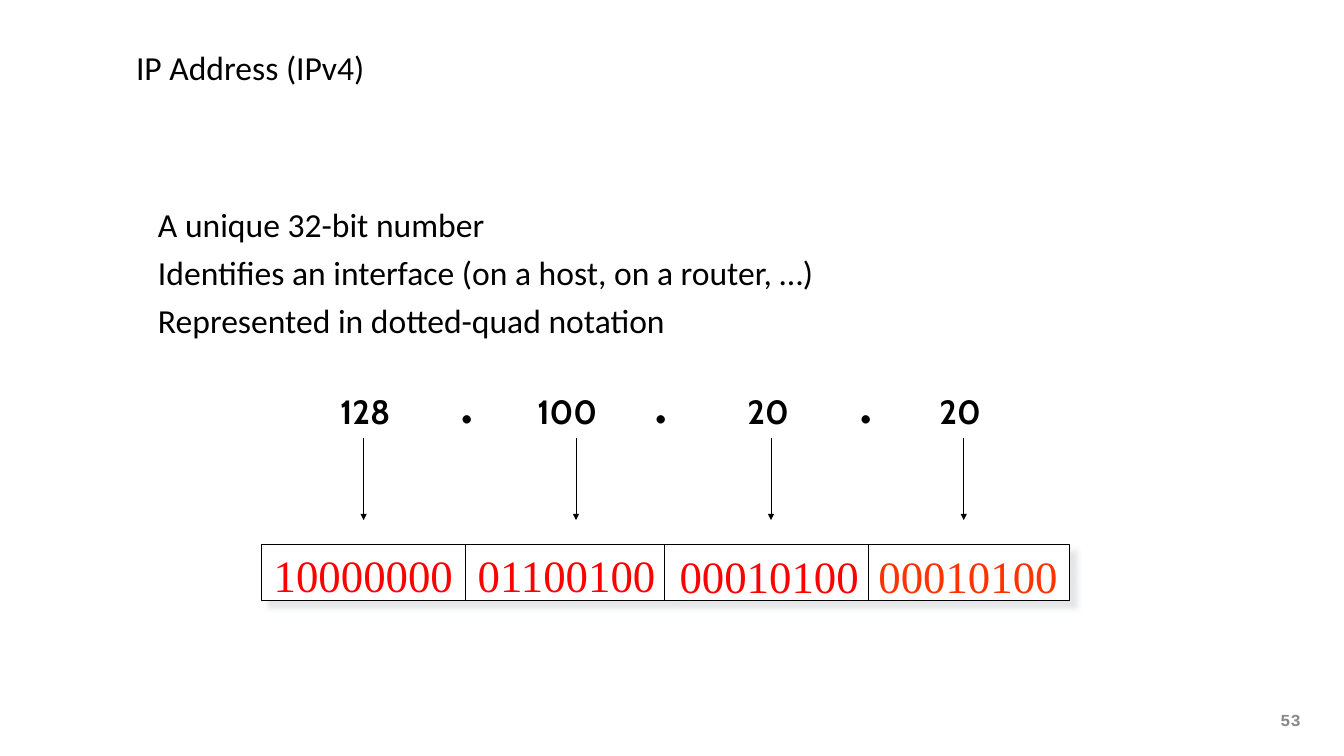
"""Build the slide that shows an IPv4 address in dotted-quad and binary form."""
from dataclasses import dataclass

from lxml.etree import SubElement
from pptx import Presentation
from pptx.dml.color import RGBColor
from pptx.enum.shapes import MSO_CONNECTOR as Connector, MSO_SHAPE as Shape
from pptx.enum.text import MSO_ANCHOR as Anchor, MSO_AUTO_SIZE as Fit, PP_ALIGN as Align
from pptx.oxml.ns import qn
from pptx.util import Inches, Pt


@dataclass(frozen=True)
class Style:
    font: str
    size: float
    color: str
    bold: bool = False


@dataclass(frozen=True)
class Theme:
    text: Style = Style("Calibri", 32, "000000")
    decimal: Style = Style("Cabin", 32, "000000", True)
    dot: Style = Style("Calibri", 66, "000000")
    octet: Style = Style("Times New Roman", 42.7, "FF0000")
    last_octet: Style = Style("Times New Roman", 42.7, "FF3300")
    number: Style = Style("Courier New", 16, "898989", True)
    line: str = "000000"
    fill: str = "FFFFFF"
    shadow: str = "DCDEE0"


THEME = Theme()
TITLE = "IP Address (IPv4)"
FACTS = [
    "A unique 32-bit number",
    "Identifies an interface (on a host, on a router, …)",
    "Represented in dotted-quad notation",
]
PAGE_NUMBER = "53"
DECIMALS = [("128", 4.4, 1.06), ("100", 7.01, 1.06), ("20", 9.79, 0.77), ("20", 12.33, 0.77)]
OCTETS = [
    ("10000000", 3.49, 7.17, THEME.octet),
    ("01100100", 6.19, 7.17, THEME.octet),
    ("00010100", 8.86, 7.19, THEME.octet),
    ("00010100", 11.49, 7.19, THEME.last_octet),
]
DOTS = [(6, 4.63), (8.57, 4.62), (11.29, 4.62)]
ARROWS = [4.81, 7.62, 10.2, 12.75]
DIVIDERS = [6.16, 8.79, 11.49]
BAR = (3.46, 7.2, 10.69, 0.74)


def add_text(page, place, lines, style, insets=(0.1, 0.05), anchor=Anchor.TOP,
             wrap=False, align=Align.LEFT, indent=0, before=0):
    box = page.shapes.add_textbox(*map(Inches, place))
    frame = box.text_frame
    frame.word_wrap = wrap
    frame.auto_size = Fit.NONE if wrap else Fit.SHAPE_TO_FIT_TEXT
    frame.vertical_anchor = anchor
    frame.margin_left = frame.margin_right = Inches(insets[0])
    frame.margin_top = frame.margin_bottom = Inches(insets[1])
    for index, line in enumerate(lines):
        para = frame.add_paragraph() if index else frame.paragraphs[0]
        para.alignment = align
        para.space_before = Pt(before)
        if indent:
            properties = para._p.get_or_add_pPr()
            properties.set("marL", str(Inches(indent)))
            properties.set("indent", "0")
        span = para.add_run()
        span.text = line
        span.font.name = style.font
        span.font.size = Pt(style.size)
        span.font.bold = style.bold
        span.font.color.rgb = RGBColor.from_string(style.color)


def add_vertical(page, x, top, bottom, width, arrow=False):
    line = page.shapes.add_connector(Connector.STRAIGHT, *map(Inches, (x, top, x, bottom)))
    line.line.color.rgb = RGBColor.from_string(THEME.line)
    line.line.width = Pt(width)
    properties = line._element.spPr
    if arrow:
        SubElement(properties.find(qn("a:ln")), qn("a:tailEnd"), type="triangle")
    SubElement(properties, qn("a:effectLst"))


def add_bar(page):
    bar = page.shapes.add_shape(Shape.RECTANGLE, *map(Inches, BAR))
    bar.fill.solid()
    bar.fill.fore_color.rgb = RGBColor.from_string(THEME.fill)
    bar.line.color.rgb = RGBColor.from_string(THEME.line)
    bar.line.width = Pt(1)
    bar.shadow.inherit = False
    effects = bar._element.spPr.find(qn("a:effectLst"))
    shadow = SubElement(effects, qn("a:outerShdw"), blurRad=str(Pt(5)), dist=str(Pt(8.5)),
                        dir=str(45 * 60000), algn="ctr", rotWithShape="0")
    color = SubElement(shadow, qn("a:srgbClr"), val=THEME.shadow)
    SubElement(color, qn("a:alpha"), val="75000")


def main():
    deck = Presentation()
    deck.slide_width, deck.slide_height = Inches(17.78), Inches(10)
    page = deck.slides.add_slide(deck.slide_layouts[6])

    add_text(page, (16.94, 9.39, 0.46, 0.5), [PAGE_NUMBER], THEME.number, insets=(0, 0))
    add_text(page, (1.74, 2.4, 14.31, 2.4), FACTS, THEME.text, insets=(0, 0),
             anchor=Anchor.MIDDLE, wrap=True, indent=0.35, before=7)
    add_text(page, (1.74, 0, 14.31, 1.78), [TITLE], THEME.text, insets=(0.06, 0.06),
             anchor=Anchor.MIDDLE, wrap=True)

    add_bar(page)
    for x in DIVIDERS:
        add_vertical(page, x, BAR[1], BAR[1] + BAR[3], 1)
    for bits, left, top, style in OCTETS:
        add_text(page, (left, top, 2.67, 0.85), [bits], style, insets=(0.13, 0.07))
    for value, left, width in DECIMALS:
        add_text(page, (left, 5.12, width, 0.64), [value], THEME.decimal)
    for x in ARROWS:
        add_vertical(page, x, 5.79, 6.88, 0.75, arrow=True)
    for left, top in DOTS:
        add_text(page, (left, top, 0.35, 1.22), ["."], THEME.dot, insets=(0.06, 0.06),
                 anchor=Anchor.MIDDLE, align=Align.CENTER)

    deck.save("out.pptx")


if __name__ == "__main__":
    main()
